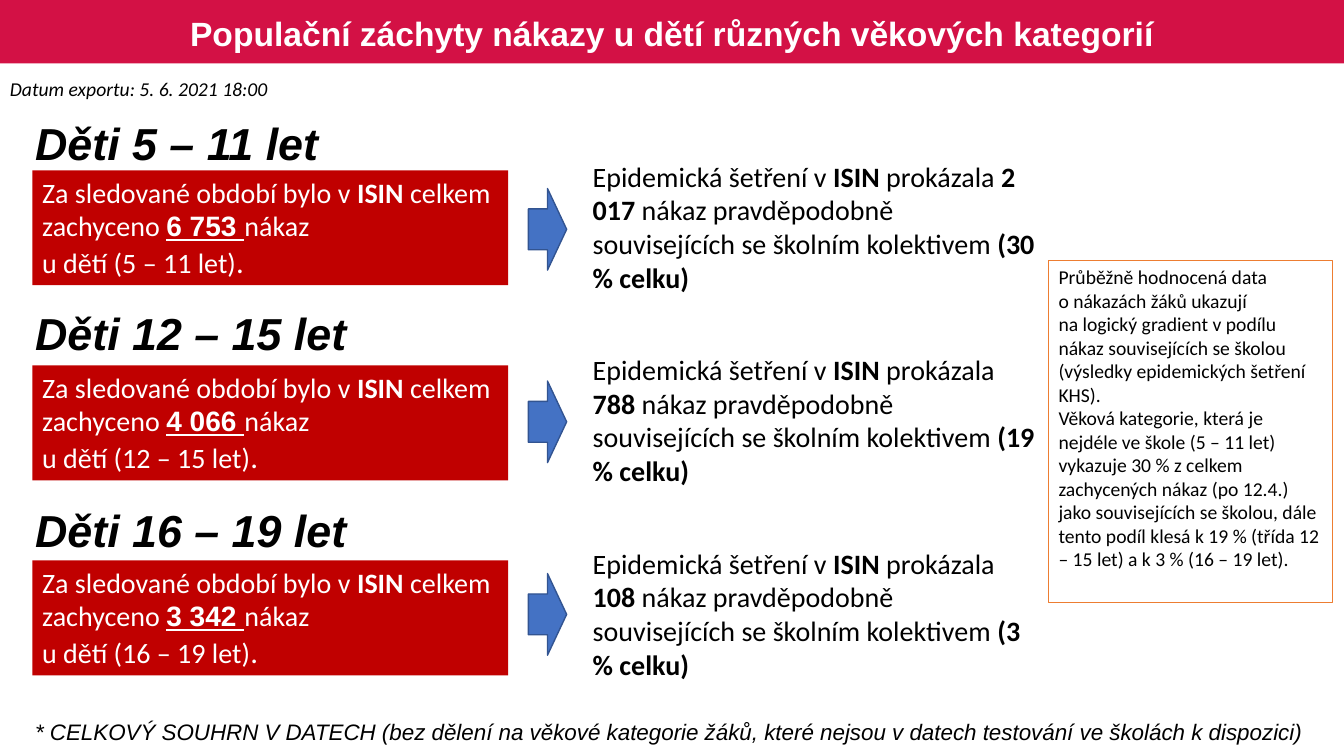
from dataclasses import dataclass

from pptx import Presentation
from pptx.dml.color import RGBColor
from pptx.enum.shapes import MSO_SHAPE as Form
from pptx.enum.text import MSO_ANCHOR as Anchor, PP_ALIGN as Align
from pptx.util import Inches, Pt

BLACK, WHITE = "000000", "FFFFFF"
CRIMSON, RED = "D31145", "C00000"
BLUE, NAVY, ORANGE = "4472C4", "325491", "ED7D31"


@dataclass
class Run:
    text: str
    bold: bool = False
    under: bool = False
    font: str = ""
    size: float = 0


@dataclass
class Group:
    ages: str
    cases: str
    linked: str
    share: str
    top: float
    width: float


GROUPS = [
    Group("5 – 11 let", "6 753", "2 017", "30 %", 1.1, 3.03),
    Group("12 – 15 let", "4 066", "788", "19 %", 2.98, 3.58),
    Group("16 – 19 let", "3 342", "108", "3 %", 4.94, 3.58),
]

NOTE = [
    "Průběžně hodnocená data",
    "o nákazách žáků ukazují",
    "na logický gradient v podílu nákaz souvisejících se školou "
    "(výsledky epidemických šetření KHS).",
    "Věková kategorie, která je nejdéle ve škole (5 – 11 let) vykazuje 30 % "
    "z celkem zachycených nákaz (po 12.4.) jako souvisejících se školou, dále "
    "tento podíl klesá k 19 % (třída 12 – 15 let) a k 3 % (16 – 19 let).",
]

deck = Presentation()
deck.slide_width, deck.slide_height = Inches(13.33), Inches(7.5)
slide = deck.slides.add_slide(deck.slide_layouts[6])


def paint(code: str) -> RGBColor:
    return RGBColor.from_string(code)


def add_form(form, x: float, y: float, w: float, h: float,
             fill: str = "", line: str = "", weight: float = 1):
    shape = slide.shapes.add_shape(form, Inches(x), Inches(y), Inches(w), Inches(h))
    shape.shadow.inherit = False
    if fill:
        shape.fill.solid()
        shape.fill.fore_color.rgb = paint(fill)
    else:
        shape.fill.background()
    if line:
        shape.line.color.rgb = paint(line)
        shape.line.width = Pt(weight)
    else:
        shape.line.fill.background()
    return shape


def add_box(x: float, y: float, w: float, h: float):
    return slide.shapes.add_textbox(Inches(x), Inches(y), Inches(w), Inches(h))


def write(shape, text: str | list[str] | list[list[Run]], *, size: float,
          font: str = "Calibri", color: str = BLACK, bold: bool = False,
          italic: bool = False, align=Align.LEFT, anchor=Anchor.TOP,
          wrap: bool = True, space: float = 1) -> None:
    """Fill a shape with one line, a list of paragraphs, or lists of runs."""
    frame = shape.text_frame
    frame.word_wrap, frame.vertical_anchor = wrap, anchor
    lines = [text] if isinstance(text, str) else text
    for i, line in enumerate(lines):
        para = frame.add_paragraph() if i else frame.paragraphs[0]
        para.alignment, para.line_spacing = align, space
        for part in [Run(line, bold)] if isinstance(line, str) else line:
            run = para.add_run()
            run.text = part.text
            style = run.font
            style.name = part.font or font
            style.size = Pt(part.size or size)
            style.bold, style.italic = part.bold, italic
            style.underline = part.under
            style.color.rgb = paint(color)


def add_group(row: int, group: Group) -> None:
    """Draw the heading, case count, arrow and finding of one age group."""
    write(add_box(0.25, group.top, group.width, 0.64), f"Děti {group.ages}",
          size=32, font="Arial", bold=True, italic=True)
    count = add_form(Form.RECTANGLE, 0.32, 1.69 + 1.935 * row, 4.72, 1.14, RED)
    write(count, [
        [Run("Za sledované období bylo v "), Run("ISIN", True),
         Run(" celkem zachyceno "), Run(f"{group.cases} ", True, True, "Arial"),
         Run("nákaz")],
        [Run(f"u dětí ({group.ages})"), Run(".", size=22)],
    ], size=20, color=WHITE)
    finding = add_form(Form.RECTANGLE, 5.78, 1.53 + 1.92 * row, 4.61, 1.45, WHITE)
    write(finding, [
        [Run("Epidemická šetření v "), Run("ISIN", True), Run(" prokázala "),
         Run(f"{group.linked} ", True),
         Run("nákaz pravděpodobně souvisejících se školním kolektivem "),
         Run(f"({group.share} celku)", True)],
    ], size=20)
    add_form(Form.RIGHT_ARROW, 5.24, 1.87 + 1.91 * row, 0.38, 0.81, BLUE, NAVY)


add_form(Form.RECTANGLE, 0, 0, 13.33, 0.63, CRIMSON)
write(add_box(0.18, 0.04, 12.97, 0.63),
      "Populační záchyty nákazy u dětí různých věkových kategorií",
      size=24, font="Arial", color=WHITE, bold=True,
      align=Align.CENTER, anchor=Anchor.MIDDLE, space=0.9)
write(add_box(0.25, 7.08, 13.23, 0.37),
      "* CELKOVÝ SOUHRN V DATECH (bez dělení na věkové kategorie žáků, "
      "které nejsou v datech testování ve školách k dispozici)",
      size=16, font="Arial", italic=True)
write(add_box(0, 0.71, 3.12, 0.34), "Datum exportu: 5. 6. 2021 18:00",
      size=14, italic=True, wrap=False)
for row, group in enumerate(GROUPS):
    add_group(row, group)
write(add_form(Form.RECTANGLE, 10.4, 2.58, 2.82, 3.4, line=ORANGE, weight=0.75),
      NOTE, size=14)

deck.save("out.pptx")
